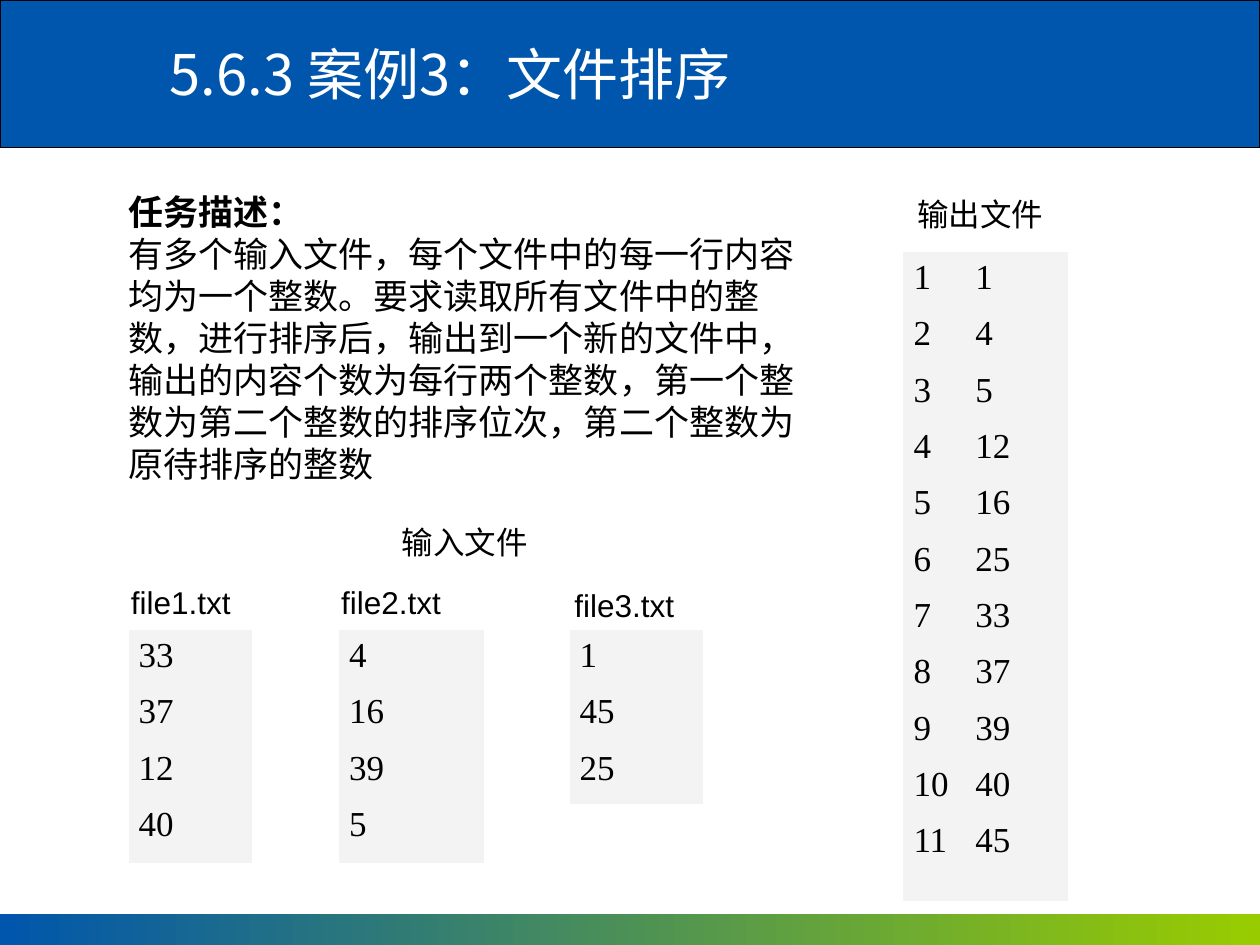
from pptx import Presentation
from pptx import util as u
from pptx.dml.color import RGBColor
from pptx.enum import shapes, text
from pptx.oxml import ns, xmlchemy

BLUE = RGBColor(0x00, 0x56, 0xAC)
GREEN = RGBColor(0x99, 0xCC, 0x00)
GRAY = RGBColor(0xF3, 0xF3, 0xF3)
BLACK = RGBColor(0, 0, 0)
WHITE = RGBColor(255, 255, 255)
CJK = "Noto Sans CJK SC"
PLAIN_STYLE = "{2D5ABB26-0587-4C30-8999-92F81FD0307C}"

TITLE = "5.6.3 案例3：文件排序"
TASK = [
    ("任务描述：", True),
    ("有多个输入文件，每个文件中的每一行内容均为一个整数。要求读取所有文件中的整数，"
     "进行排序后，输出到一个新的文件中，输出的内容个数为每行两个整数，"
     "第一个整数为第二个整数的排序位次，第二个整数为原待排序的整数", False),
]
INPUTS = [
    ("file1.txt", (0.94, 4.58), (1.02, 5, 0.98, 1.75), [33, 37, 12, 40]),
    ("file2.txt", (2.61, 4.58), (2.69, 5, 1.15, 1.75), [4, 16, 39, 5]),
    ("file3.txt", (4.46, 4.6), (4.52, 5, 1.06, 1.28), [1, 45, 25]),
]
HEADINGS = [("输出文件", (7.18, 1.5)), ("输入文件", (3.09, 4.1))]
OUTPUT_BOX = (7.17, 2, 1.31, 5.06)
RANK_TAB = 0.49


def inches(box):
    return [u.Inches(v) for v in box]


def add_run(p, words, size, color=BLACK, name="Arial", bold=False):
    r = p.add_run()
    r.text = words
    r.font.color.rgb = color
    for key, value in {"size": u.Pt(size), "name": name, "bold": bold}.items():
        setattr(r.font, key, value)
    ea = xmlchemy.OxmlElement("a:ea")
    ea.set("typeface", CJK)
    r.font._element.append(ea)


def add_paragraph(tf, i):
    p = tf.add_paragraph() if i else tf.paragraphs[0]
    p._p.get_or_add_pPr().set("hangingPunct", "0")
    return p


def add_bar(s, box):
    sp = s.shapes.add_shape(shapes.MSO_SHAPE.RECTANGLE, *inches(box))
    sp.shadow.inherit = False
    return sp


def add_text(s, box, lines, size, wrap=True, anchor=text.MSO_ANCHOR.TOP, **font):
    tf = s.shapes.add_textbox(*inches(box)).text_frame
    tf.word_wrap = wrap
    tf.vertical_anchor = anchor
    for i, (words, bold) in enumerate(lines):
        add_run(add_paragraph(tf, i), words, size, bold=bold, **font)


def add_listing(s, box, lines, tab=None):
    table = s.shapes.add_table(1, 1, *inches(box)).table
    table.first_row = table.horz_banding = False
    table._tbl.tblPr.find(ns.qn("a:tableStyleId")).text = PLAIN_STYLE
    cell = table.cell(0, 0)
    cell.fill.solid()
    cell.fill.fore_color.rgb = GRAY
    cell.margin_left = cell.margin_right = u.Inches(0.08)
    for i, words in enumerate(lines):
        p = add_paragraph(cell.text_frame, i)
        form = {"alignment": text.PP_ALIGN.JUSTIFY, "space_after": u.Pt(5),
                "space_before": u.Pt(5 if i else 0)}
        for key, value in form.items():
            setattr(p, key, value)
        if tab:
            tabs = xmlchemy.OxmlElement("a:tabLst")
            stop = xmlchemy.OxmlElement("a:tab")
            stop.set("pos", str(u.Inches(tab)))
            stop.set("algn", "l")
            tabs.append(stop)
            p._p.find(ns.qn("a:pPr")).append(tabs)
        add_run(p, words, 20, name="Times New Roman")


def main():
    prs = Presentation()
    prs.slide_width, prs.slide_height = inches((10, 7.5))
    s = prs.slides.add_slide(prs.slide_layouts[6])

    header = add_bar(s, (0, 0, 10, 1.17))
    header.fill.solid()
    header.fill.fore_color.rgb = BLUE
    header.line.color.rgb = BLACK
    header.line.width = u.Pt(0.75)

    footer = add_bar(s, (0, 7.25, 10, 0.25))
    footer.fill.gradient()
    footer.fill.gradient_angle = 0
    for stop, color in zip(footer.fill.gradient_stops, (BLUE, GREEN)):
        stop.color.rgb = color
    footer.line.fill.background()

    add_text(s, (1.25, 0.08, 8.75, 1), [(TITLE, False)], 32,
             anchor=text.MSO_ANCHOR.MIDDLE, color=WHITE, name=CJK)
    add_text(s, (0.92, 1.46, 5.5, 2.44), TASK, 20)

    for name, spot, box, numbers in INPUTS:
        add_text(s, (*spot, 1.06, 0.4), [(name, False)], 18, wrap=False)
        add_listing(s, box, [str(n) for n in numbers])

    ranked = sorted(n for *_, numbers in INPUTS for n in numbers)
    add_listing(s, OUTPUT_BOX,
                [f"{rank}\t{n}" for rank, n in enumerate(ranked, 1)], RANK_TAB)
    for heading, spot in HEADINGS:
        add_text(s, (*spot, 1.26, 0.4), [(heading, False)], 18, wrap=False)

    prs.save("out.pptx")


if __name__ == "__main__":
    main()
